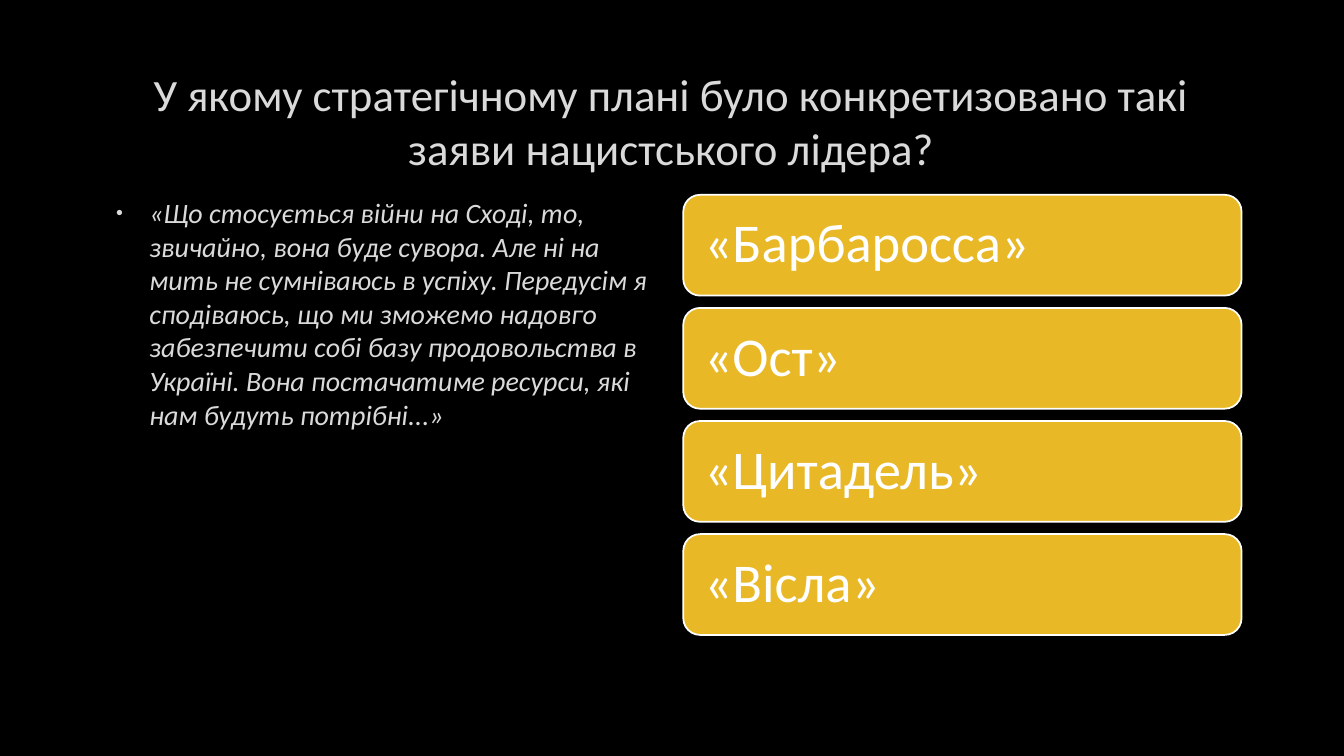
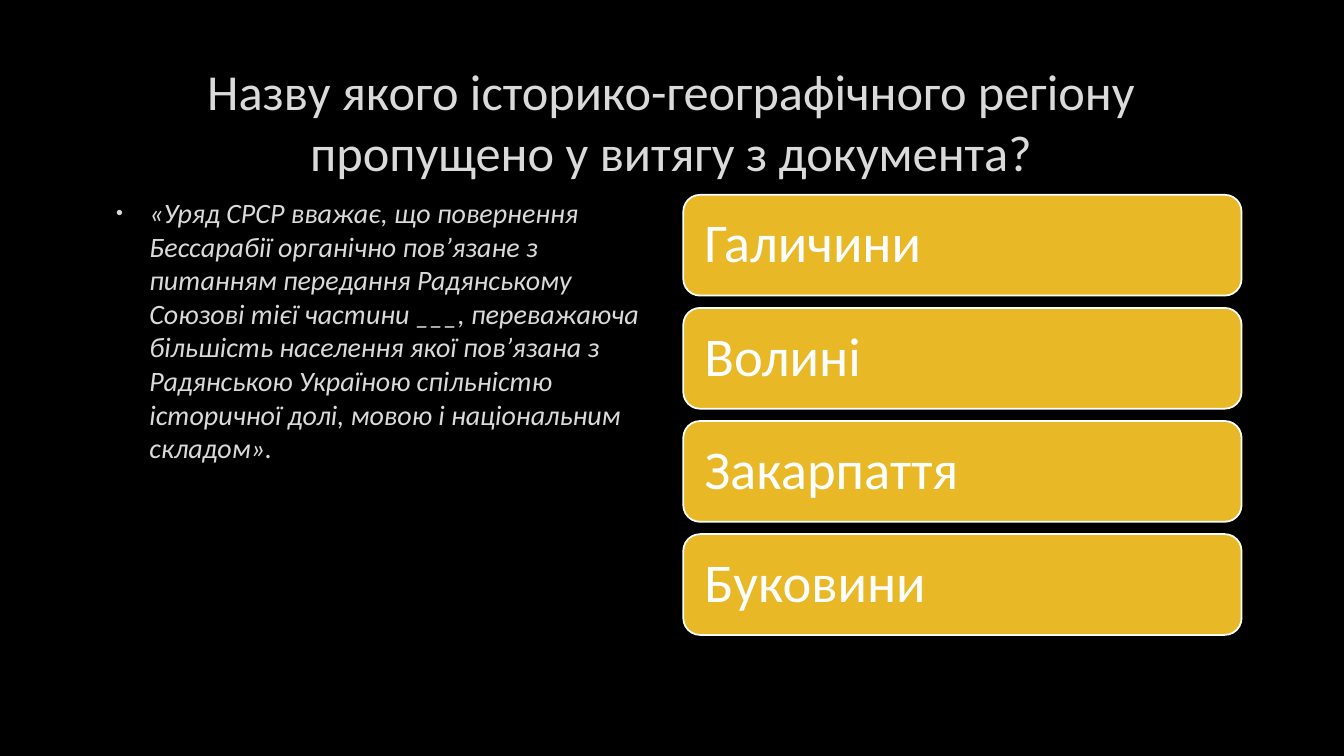
from lxml import etree
from pptx import Presentation
from pptx.dml.color import RGBColor
from pptx.enum import shapes, text
from pptx.oxml.ns import qn
from pptx.util import Cm, Pt

COLORS = {"background": "000000", "text": "DADADA", "card": "E8B826", "white": "FFFFFF"}
FONT = "Calibri"

QUESTIONS = [
    {
        "title": "У якому стратегічному плані було конкретизовано такі заяви нацистського лідера?",
        "title_size": 32,
        "quote": "«Що стосується війни на Сході, то, звичайно, вона буде сувора. "
                 "Але ні на мить не сумніваюсь в успіху. Передусім я сподіваюсь, "
                 "що ми зможемо надовго забезпечити собі базу продовольства в Україні. "
                 "Вона постачатиме ресурси, які нам будуть потрібні...»",
        "answers": ["«Барбаросса»", "«Ост»", "«Цитадель»", "«Вісла»"],
    },
    {
        "title": "Назву якого історико-географічного регіону пропущено у витягу з документа?",
        "title_size": 36,
        "quote": "«Уряд СРСР вважає, що повернення Бессарабії органічно пов’язане з "
                 "питанням передання Радянському Союзові тієї частини ___, переважаюча "
                 "більшість населення якої пов’язана з Радянською Україною спільністю "
                 "історичної долі, мовою і національним складом».",
        "answers": ["Галичини", "Волині", "Закарпаття", "Буковини"],
    },
]

TITLE_BOX = (Cm(2.54), Cm(1.7), Cm(28.75), Cm(2.69))
QUOTE_BOX = (Cm(2.54), Cm(4.8), Cm(14.05), Cm(11.28))
CARD_LEFT, CARD_TOP = Cm(17.22), Cm(4.91)
CARD_WIDTH, CARD_HEIGHT, CARD_GAP = Cm(14.07), Cm(2.54), Cm(0.31)
CARD_INSET = Cm(0.41)


def rgb(name):
    return RGBColor.from_string(COLORS[name])


def place(shape, box):
    shape.left, shape.top, shape.width, shape.height = box


def style_font(paragraph, size, color, italic=False):
    for run in paragraph.runs:
        font = run.font
        font.name, font.size, font.italic = FONT, Pt(size), italic
        font.color.rgb = rgb(color)


def add_bullet(paragraph):
    properties = paragraph._p.get_or_add_pPr()
    properties.set("marL", str(Cm(0.97)))
    properties.set("indent", str(Cm(-0.84)))
    bullet_color = etree.SubElement(properties, qn("a:buClr"))
    etree.SubElement(bullet_color, qn("a:srgbClr"), val=COLORS["text"])
    etree.SubElement(properties, qn("a:buSzPct"), val="70000")
    etree.SubElement(properties, qn("a:buFont"), typeface="Arial")
    etree.SubElement(properties, qn("a:buChar"), char="•")


def fill_title(title, wording, size):
    frame = title.text_frame
    frame.text = wording
    frame.auto_size = text.MSO_AUTO_SIZE.NONE
    frame.vertical_anchor = text.MSO_ANCHOR.MIDDLE
    paragraph = frame.paragraphs[0]
    paragraph.alignment = text.PP_ALIGN.CENTER
    style_font(paragraph, size, "text")


def fill_quote(body, wording):
    frame = body.text_frame
    frame.text = wording
    frame.auto_size = text.MSO_AUTO_SIZE.NONE
    paragraph = frame.paragraphs[0]
    add_bullet(paragraph)
    paragraph.space_before, paragraph.space_after = Pt(0), Pt(6)
    style_font(paragraph, 20, "text", italic=True)


def add_answer(slide, index, wording):
    top = CARD_TOP + index * (CARD_HEIGHT + CARD_GAP)
    card = slide.shapes.add_shape(
        shapes.MSO_SHAPE.ROUNDED_RECTANGLE, CARD_LEFT, top, CARD_WIDTH, CARD_HEIGHT)
    card.shadow.inherit = False
    card.fill.solid()
    card.fill.fore_color.rgb = rgb("card")
    card.line.color.rgb = rgb("white")
    card.line.width = Pt(1.25)
    frame = card.text_frame
    frame.text = wording
    frame.word_wrap = True
    frame.vertical_anchor = text.MSO_ANCHOR.MIDDLE
    frame.margin_left = frame.margin_right = CARD_INSET
    frame.margin_top = frame.margin_bottom = CARD_INSET
    paragraph = frame.paragraphs[0]
    paragraph.alignment = text.PP_ALIGN.LEFT
    paragraph.line_spacing = 0.9
    style_font(paragraph, 39, "white")


def add_question(presentation, layout, question):
    slide = presentation.slides.add_slide(layout)
    fill_title(slide.shapes.title, question["title"], question["title_size"])
    fill_quote(slide.placeholders[1], question["quote"])
    for index, answer in enumerate(question["answers"]):
        add_answer(slide, index, answer)


def main():
    presentation = Presentation()
    presentation.slide_width, presentation.slide_height = Cm(33.87), Cm(19.05)
    background = presentation.slide_master.background.fill
    background.solid()
    background.fore_color.rgb = rgb("background")

    layout = presentation.slide_layouts.get_by_name("Title and Content")
    for placeholder, box in zip(layout.placeholders, (TITLE_BOX, QUOTE_BOX)):
        place(placeholder, box)

    for question in QUESTIONS:
        add_question(presentation, layout, question)
    presentation.save("out.pptx")


if __name__ == "__main__":
    main()
